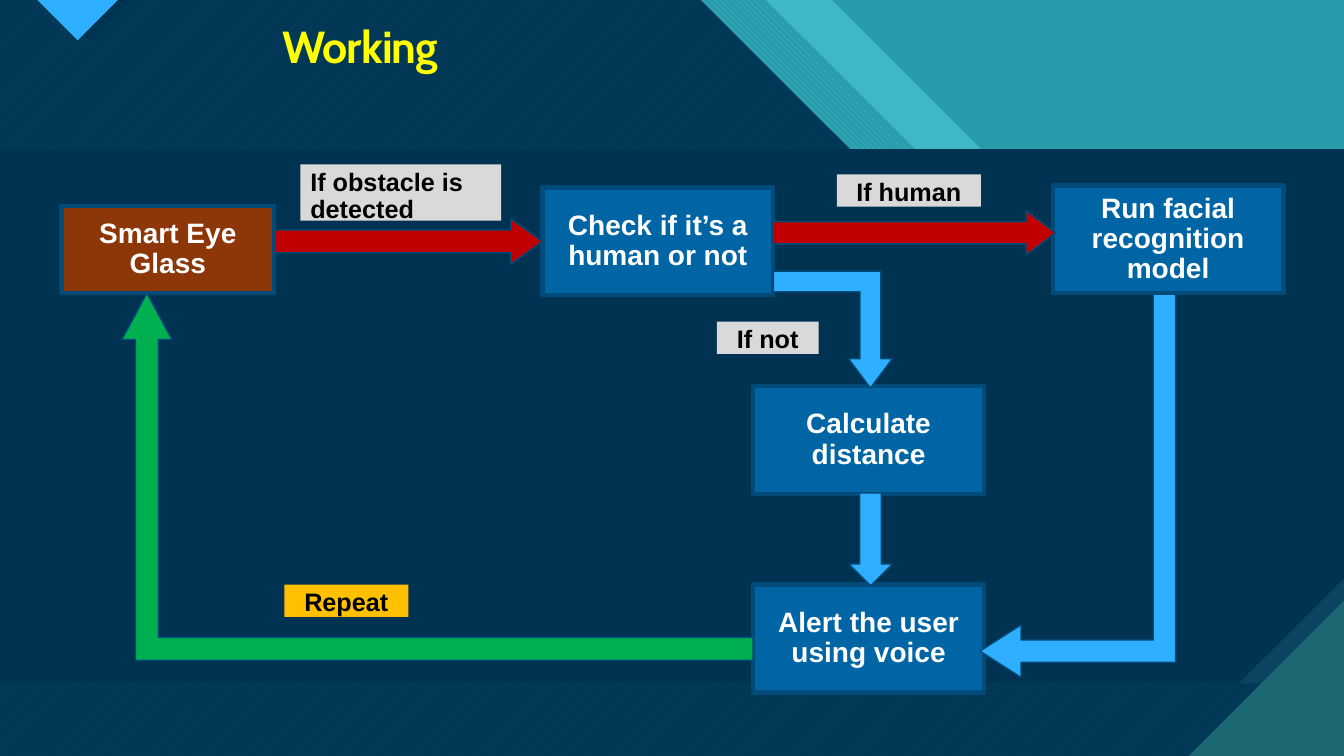
from pptx import Presentation
from pptx.dml.color import RGBColor
from pptx.enum.dml import MSO_PATTERN
from pptx.enum.shapes import MSO_SHAPE
from pptx.enum.text import MSO_ANCHOR, PP_ALIGN
from pptx.oxml.ns import qn
from pptx.util import Inches, Pt
from lxml import etree

SLIDE_WIDTH, SLIDE_HEIGHT = 13.33, 7.5
TEAL = RGBColor(0x29, 0x9C, 0xAB)
LIGHT_TEAL = RGBColor(0x47, 0xC3, 0xD3)
DARK_TEAL = RGBColor(0x1B, 0x68, 0x72)
NAVY = RGBColor(0x00, 0x33, 0x52)
DEEP_BLUE = RGBColor(0x0C, 0x43, 0x60)
SKY = RGBColor(0x2F, 0xAF, 0xFF)
OUTLINE = RGBColor(0x00, 0x4B, 0x79)
STEP_BLUE = RGBColor(0x00, 0x65, 0xA4)
BROWN = RGBColor(0x8D, 0x36, 0x08)
RED = RGBColor(0xC0, 0x00, 0x00)
GREEN = RGBColor(0x00, 0xB0, 0x50)
AMBER = RGBColor(0xFF, 0xC0, 0x00)
GREY = RGBColor(0xD9, 0xD9, 0xD9)
YELLOW = RGBColor(0xFF, 0xFF, 0x00)
WHITE = RGBColor(0xFF, 0xFF, 0xFF)
BLACK = RGBColor(0x00, 0x00, 0x00)


def paint(shape, color, opacity=100, outline=0):
    shape.shadow.inherit = False
    shape.fill.solid()
    shape.fill.fore_color.rgb = color
    if opacity < 100:
        tint = shape.element.spPr.find(".//" + qn("a:srgbClr"))
        etree.SubElement(tint, qn("a:alpha")).set("val", str(opacity * 1000))
    if outline:
        shape.line.color.rgb = OUTLINE
        shape.line.width = Pt(outline)
    else:
        shape.line.fill.background()


def hatch(shape, pattern, front, back):
    paint(shape, front)
    shape.fill.patterned()
    shape.fill.pattern = pattern
    shape.fill.fore_color.rgb = front
    shape.fill.back_color.rgb = back


def add_preset(slide, box, preset, at):
    left, top, width, height = at
    return slide.shapes.add_shape(
        preset, Inches(box[0] + left), Inches(box[1] + top), Inches(width), Inches(height))


def add_outline(slide, box, points):
    corners = [(Inches(box[0] + x), Inches(box[1] + y)) for x, y in points]
    builder = slide.shapes.build_freeform(*corners[0])
    builder.add_line_segments(corners[1:], close=True)
    return builder.convert_to_shape()


def add_band(slide, box, edge, shelf_end):
    shelf = 2.97
    _, _, width, height = box
    return add_outline(slide, box, [
        (0, 0), (edge, 0), (edge + shelf, shelf), (shelf_end, shelf),
        (width, shelf + width - shelf_end), (width, height), (0, height)])


def draw_backdrop(slide, box):
    _, _, width, height = box
    slide.background.fill.solid()
    slide.background.fill.fore_color.rgb = TEAL

    paint(add_band(slide, box, 8.25, 12.34), LIGHT_TEAL, opacity=74)
    hatch(add_band(slide, box, 7.6, 11.84), MSO_PATTERN.WIDE_DOWNWARD_DIAGONAL, LIGHT_TEAL, TEAL)
    hatch(add_band(slide, box, 6.95, 11.18), MSO_PATTERN.WIDE_UPWARD_DIAGONAL, LIGHT_TEAL, DARK_TEAL)
    paint(add_band(slide, box, 6.95, 11.18), NAVY, opacity=90)

    for start, end, color in ((0.48, 1.31, NAVY), (0.37, 1.17, SKY)):
        middle = (start + end) / 2
        paint(add_outline(slide, box, [(start, 0), (end, 0), (middle, middle - start)]), color)

    for snip, color in ((0, DEEP_BLUE), (0.197, NAVY)):
        panel = add_preset(slide, box, MSO_SHAPE.SNIP_1_RECTANGLE, (0, 1.48, width, 5.3))
        panel.adjustments[0] = snip
        panel.element.spPr.xfrm.set("flipV", "1")
        paint(panel, color)

    corner = 1.54
    paint(add_outline(slide, box, [
        (width - corner, height), (width, height), (width, height - corner)]), DARK_TEAL)


def place_title(slide, box):
    title = slide.shapes.title
    title.left, title.top, title.width, title.height = (Inches(length) for length in box)
    frame = title.text_frame
    frame.text = "Working"
    frame.vertical_anchor = MSO_ANCHOR.MIDDLE
    frame.word_wrap = True
    format_text(frame, "Cabin", 32, YELLOW, PP_ALIGN.LEFT)
    frame.paragraphs[0].runs[0].font._element.set("spc", "-70")


def format_text(frame, typeface, size, color, align, space_after=0):
    paragraph = frame.paragraphs[0]
    paragraph.alignment = align
    paragraph.line_spacing = 0.9
    paragraph.space_before = Pt(0)
    paragraph.space_after = Pt(space_after)
    font = paragraph.runs[0].font
    font.name, font.size, font.bold = typeface, Pt(size), True
    font.color.rgb = color


def add_caption(slide, box, at, wording, fill, size, color, anchor, align, outline=0):
    caption = add_preset(slide, box, MSO_SHAPE.RECTANGLE, at)
    paint(caption, fill, outline=outline)
    frame = caption.text_frame
    frame.text = wording
    frame.word_wrap = True
    frame.vertical_anchor = anchor
    format_text(frame, "Arial", size, color, align, space_after=6)


def draw_flowchart(slide, box):
    step_size = (2.29, 1.07)
    steps = [
        ("Smart Eye Glass", (0, 0.41), (2.11, 0.87), BROWN),
        ("Check if it’s a human or not", (4.77, 0.23), step_size, STEP_BLUE),
        ("Run facial recognition model", (9.83, 0.21), step_size, STEP_BLUE),
        ("Calculate distance", (6.86, 2.2), step_size, STEP_BLUE),
        ("Alert the user using voice", (6.86, 4.17), step_size, STEP_BLUE),
    ]
    for wording, corner, size, fill in steps:
        add_caption(slide, box, corner + size, wording, fill, 20, WHITE,
                    MSO_ANCHOR.MIDDLE, PP_ALIGN.CENTER, outline=3)

    conditions = [
        ("If obstacle is detected", (2.37, 0, 1.99, 0.56), GREY, PP_ALIGN.LEFT),
        ("If human", (7.69, 0.1, 1.43, 0.32), GREY, PP_ALIGN.CENTER),
        ("If not", (6.5, 1.56, 1.01, 0.32), GREY, PP_ALIGN.CENTER),
        ("Repeat", (2.21, 4.17, 1.23, 0.32), AMBER, PP_ALIGN.CENTER),
    ]
    for wording, at, fill, align in conditions:
        add_caption(slide, box, at, wording, fill, 18, BLACK, MSO_ANCHOR.TOP, align)

    right, down, bent = MSO_SHAPE.RIGHT_ARROW, MSO_SHAPE.DOWN_ARROW, MSO_SHAPE.BENT_UP_ARROW
    arrows = [
        (right, (2.11, 0.54, 2.66, 0.45), (0.5, 0.697), RED, None, 0),
        (right, (7.06, 0.46, 2.8, 0.44), (0.5, 0.666), RED, None, 0),
        (down, (7.81, 3.26, 0.43, 0.92), (0.5, 0.5), SKY, None, 0),
        (bent, (8.18, 2.22, 3.8, 1.94), (0.114, 0.134, 0.21), SKY, "flipV", 90),
        (bent, (0.6, 1.28, 6.26, 3.64), (0.062, 0.068, 0.126), GREEN, "flipH", 0),
        (bent, (7.06, 1.06, 1.18, 1.16), (0.178, 0.187, 0.25), SKY, "flipV", 0),
    ]
    for preset, at, proportions, color, flip, rotation in arrows:
        arrow = add_preset(slide, box, preset, at)
        for index, proportion in enumerate(proportions):
            arrow.adjustments[index] = proportion
        arrow.rotation = rotation
        if flip:
            arrow.element.spPr.xfrm.set(flip, "1")
        paint(arrow, color, outline=1)


def main():
    presentation = Presentation()
    presentation.slide_width = Inches(SLIDE_WIDTH)
    presentation.slide_height = Inches(SLIDE_HEIGHT)
    slide = presentation.slides.add_slide(presentation.slide_layouts[5])
    draw_backdrop(slide, (0, 0, SLIDE_WIDTH, SLIDE_HEIGHT))
    place_title(slide, (2.7, 0.19, 1.92, 0.59))
    slide.shapes._spTree.append(slide.shapes.title.element)
    draw_flowchart(slide, (0.61, 1.63, 12.12, 5.24))
    presentation.save("out.pptx")


if __name__ == "__main__":
    main()
